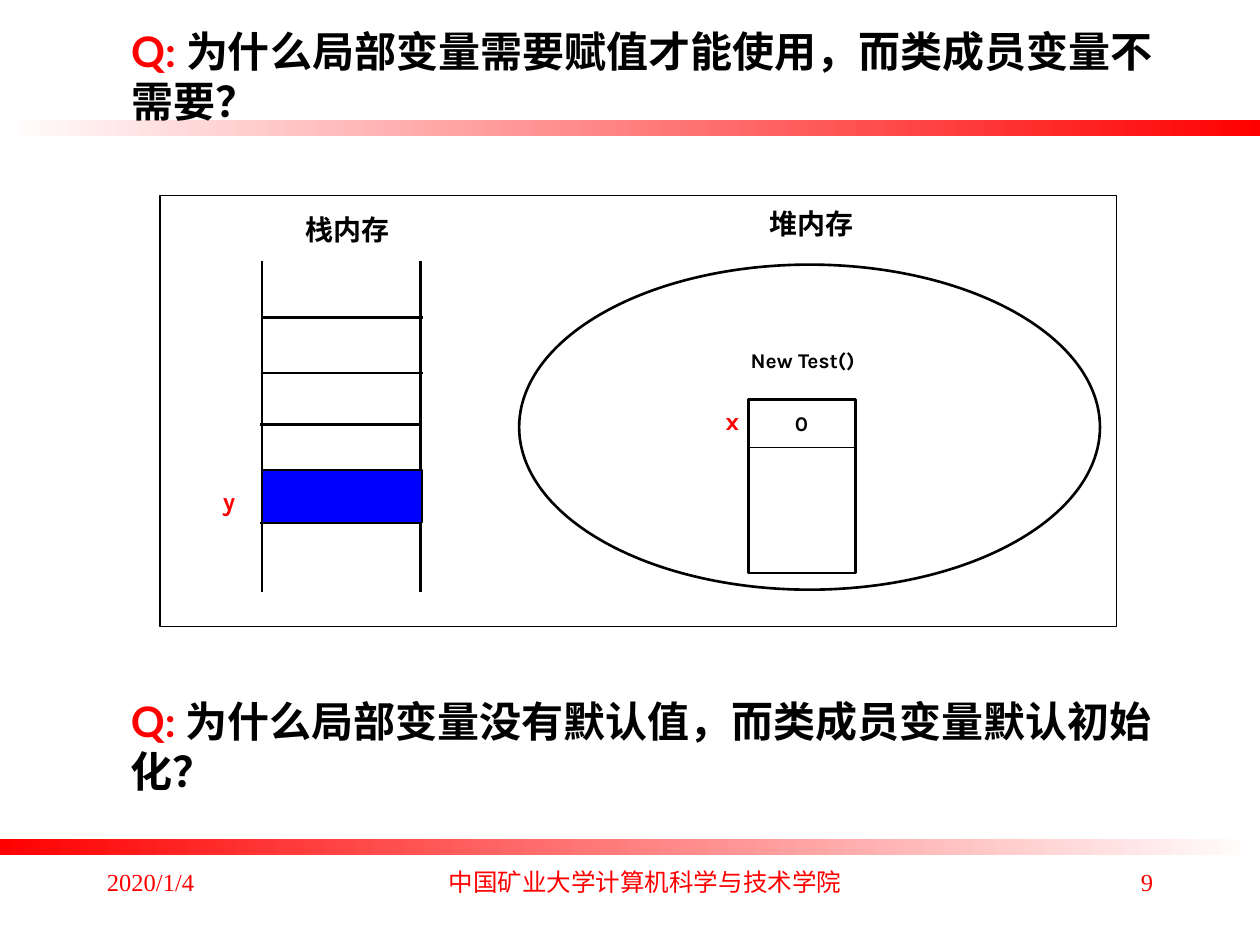
from pptx import Presentation
from pptx.dml.color import RGBColor
from pptx.enum.shapes import MSO_CONNECTOR, MSO_SHAPE
from pptx.enum.text import MSO_ANCHOR, MSO_AUTO_SIZE, PP_ALIGN
from pptx.oxml.ns import qn
from pptx.util import Inches, Pt
from lxml.etree import SubElement

BLACK, WHITE, RED, BLUE = "000000", "FFFFFF", "FF0000", "0000FF"


def color(hex_code):
    return RGBColor.from_string(hex_code)


def style(font, name, size, hex_code, bold):
    font.name, font.size, font.bold = name, Pt(size), bold
    font.color.rgb = color(hex_code)


prs = Presentation()
prs.slide_width, prs.slide_height = Inches(10), Inches(7.5)
slide = prs.slides.add_slide(prs.slide_layouts[5])
shapes = slide.shapes

for top, start, end in [(0.95, WHITE, RED), (6.66, RED, WHITE)]:
    band = shapes.add_shape(MSO_SHAPE.RECTANGLE, 0, Inches(top), Inches(10), Inches(0.13))
    band.shadow.inherit = False
    band.line.fill.background()
    band.fill.gradient()
    band.fill.gradient_angle = 0
    for stop, shade, position in zip(band.fill.gradient_stops, (start, end), (0, 1)):
        stop.color.rgb = color(shade)
        stop.position = position

first_question = shapes.title
shapes._spTree.append(first_question._element)
second_question = shapes.add_textbox(0, 0, 0, 0)
for question, top, wording in [
    (first_question, 0.15, "为什么局部变量需要赋值才能使用，而类成员变量不需要？"),
    (second_question, 5.47, "为什么局部变量没有默认值，而类成员变量默认初始化？"),
]:
    question.left, question.top = Inches(0.94), Inches(top)
    question.width, question.height = Inches(8.48), Inches(0.91)
    frame = question.text_frame
    frame.word_wrap = True
    frame.auto_size = MSO_AUTO_SIZE.NONE
    frame.vertical_anchor = MSO_ANCHOR.TOP
    paragraph = frame.paragraphs[0]
    paragraph.alignment = PP_ALIGN.LEFT
    for part, font_name, shade in [("Q: ", "Lato", RED), (wording, "Times New Roman", BLACK)]:
        run = paragraph.add_run()
        run.text = part
        style(run.font, font_name, 24, shade, True)

RECT, OVAL = MSO_SHAPE.RECTANGLE, MSO_SHAPE.OVAL
for kind, left, top, width, height, fill, weight in [
    (RECT, 1.27, 1.55, 7.59, 3.42, WHITE, 0.75),
    (OVAL, 4.12, 2.1, 4.61, 2.58, WHITE, 1.5),
    (RECT, 5.94, 3.17, 0.85, 1.38, WHITE, 1.25),
    (RECT, 2.08, 3.73, 1.27, 0.42, BLUE, 0.75),
]:
    area = shapes.add_shape(kind, Inches(left), Inches(top), Inches(width), Inches(height))
    area.shadow.inherit = False
    area.fill.solid()
    area.fill.fore_color.rgb = color(fill)
    area.line.color.rgb = color(BLACK)
    area.line.width = Pt(weight)

stack_walls = [(x, 2.07, x, 4.7, 1.5) for x in (2.08, 3.34)]
stack_rungs = [
    (left, y, left + 1.28, y, 1.5)
    for left, y in [(2.08, 2.52), (2.08, 2.96), (2.06, 3.37), (2.08, 3.75), (2.06, 4.15)]
]
object_divider = (5.94, 3.55, 6.8, 3.55, 0.75)
for x1, y1, x2, y2, weight in [*stack_walls, *stack_rungs, object_divider]:
    edge = shapes.add_connector(
        MSO_CONNECTOR.STRAIGHT, Inches(x1), Inches(y1), Inches(x2), Inches(y2)
    )
    edge.line.color.rgb = color(BLACK)
    edge.line.width = Pt(weight)
    SubElement(edge._element.spPr, qn("a:effectLst"))
blue_cell = area._element
shapes._spTree.append(blue_cell)

LEFT, CENTER, RIGHT = PP_ALIGN.LEFT, PP_ALIGN.CENTER, PP_ALIGN.RIGHT
for wording, left, top, width, height, font_name, size, shade, bold, align in [
    ("栈内存", 2.33, 1.64, 1.29, 0.56, "Karla", 16, BLACK, True, LEFT),
    ("堆内存", 6.01, 1.59, 1.29, 0.56, "Karla", 16, BLACK, True, LEFT),
    ("y", 1.67, 3.81, 0.32, 0.34, "Karla", 14, RED, True, LEFT),
    ("New Test()", 5.86, 2.71, 2.34, 0.3, "Karla", 12, BLACK, True, LEFT),
    ("0", 6.21, 3.21, 0.45, 0.46, "Karla", 12, BLACK, True, LEFT),
    ("x", 5.66, 3.17, 0.32, 0.34, "Karla", 14, RED, True, LEFT),
    ("2020/1/4", 0.75, 6.83, 2.08, 0.5, "Times New Roman", 14, RED, False, LEFT),
    ("中国矿业大学计算机科学与技术学院", 3.42, 6.83, 3.4, 0.5, "Noto Sans CJK SC", 14, RED, False, CENTER),
    ("9", 7.17, 6.83, 2.08, 0.5, "Times New Roman", 14, RED, False, RIGHT),
]:
    label = shapes.add_textbox(Inches(left), Inches(top), Inches(width), Inches(height))
    label.text_frame.word_wrap = True
    paragraph = label.text_frame.paragraphs[0]
    paragraph.text = wording
    paragraph.alignment = align
    style(paragraph.font, font_name, size, shade, bold)

prs.save("out.pptx")
